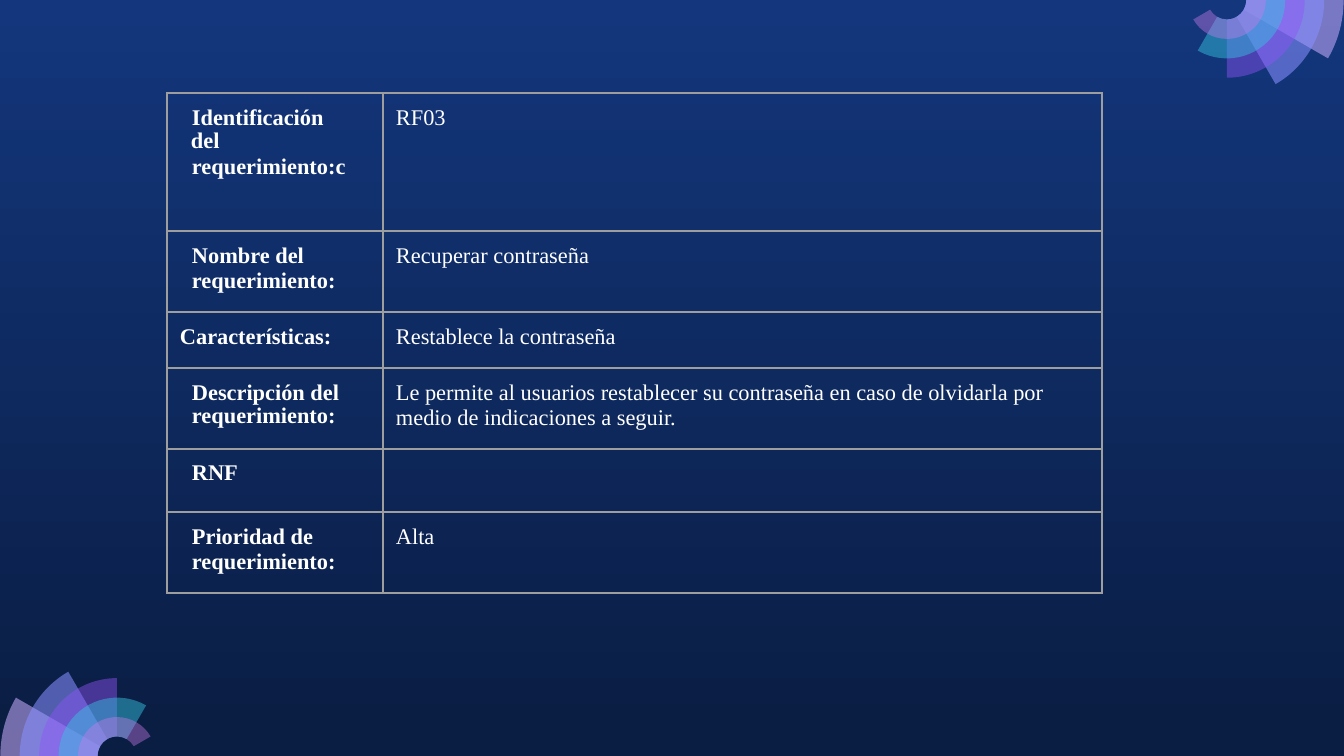
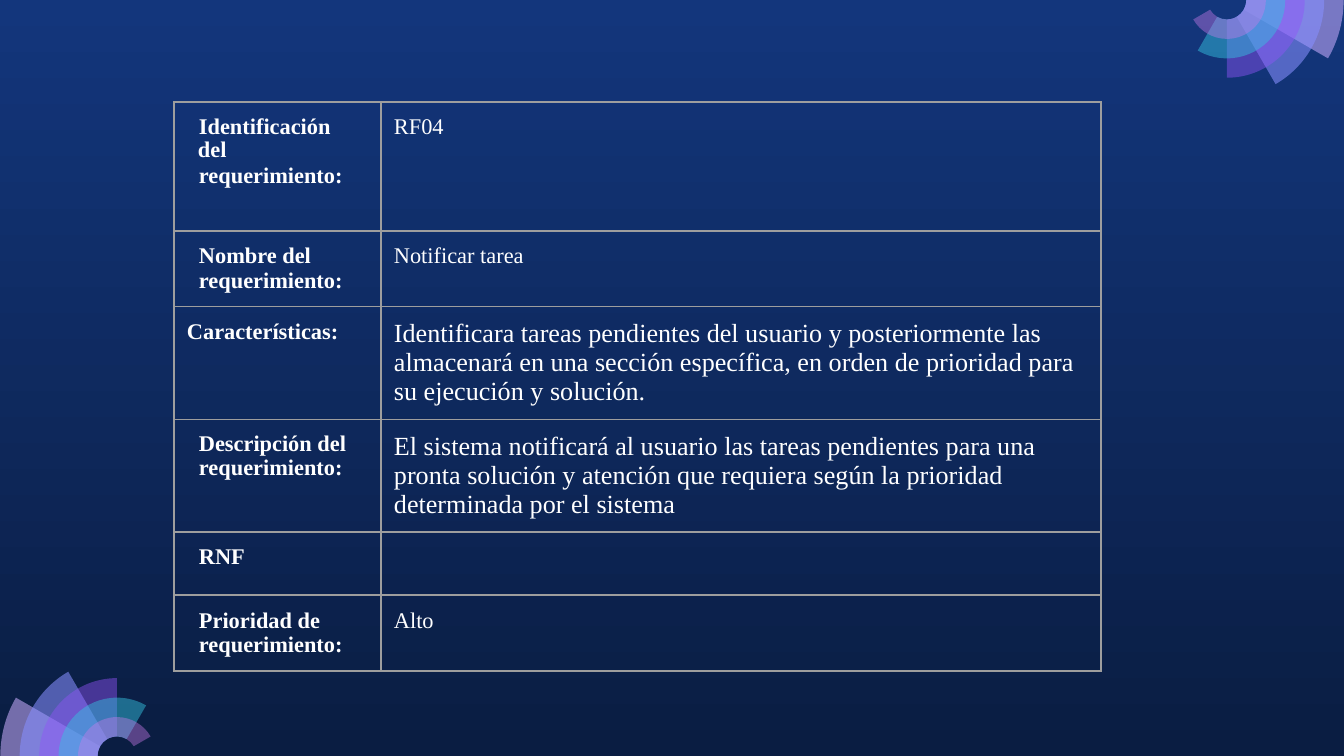
import math
from lxml import etree
from pptx import Presentation
from pptx import util as u
from pptx.dml.color import RGBColor
from pptx.oxml import ns

FONT = "Times New Roman"
WHITE, BORDER = "FFFFFF", "9E9E9E"
BACKGROUND = ("13367C", "0A1D42")
FAN_COLOURS = [("C8ACFD", 56), ("878FFF", 57), ("9154F8", 45), ("35C2DF", 48), ("CA7BEB", 41)]
FAN_CENTRES = [(117, 756, 1), (1227, 0, -1)]
RING, SWEEP = 19.45, 30
INSET, EMPTY_SIZE = 13, 18

HANGING = {"marL": 11, "indent": 1}
INDENTED = {"marL": 12, "indent": 0}
FLUSH = {}
TIGHT, AFTER_TIGHT = {"line_spacing": 0.96}, {"space_before": u.Pt(0.3)}

LABELS = [
    [("Identificación\vdel", HANGING, TIGHT), ("requerimiento:", INDENTED, AFTER_TIGHT)],
    [("Nombre del", INDENTED, {}), ("requerimiento:", INDENTED, {})],
    [("Características:", FLUSH, {})],
    [("Descripción del requerimiento:", INDENTED, TIGHT)],
    [("RNF", INDENTED, TIGHT)],
    [("Prioridad de", INDENTED, {}), ("requerimiento:", INDENTED, {})],
]

REQUIREMENTS = [
    {
        "corner": (167, 93), "columns": (216, 719), "rows": (138, 81, 56, 81, 56, 81),
        "label_tail": "c",
        "values": [
            ("RF03", 12),
            ("Recuperar contraseña", 12),
            ("Restablece la contraseña", 12),
            ("Le permite al usuarios restablecer su contraseña en caso de olvidarla "
             "por medio de indicaciones a seguir.", 12),
            None,
            ("Alta", 12),
        ],
    },
    {
        "corner": (174, 102), "columns": (207, 720), "rows": (129, 56, 56, 56, 56, 56),
        "label_tail": "",
        "values": [
            ("RF04", 12),
            ("Notificar tarea", 12),
            ("Identificara tareas pendientes del usuario y posteriormente las almacenará "
             "en una sección específica, en orden de prioridad para su ejecución y solución.", 14),
            ("El sistema notificará al usuario las tareas pendientes para una pronta solución "
             "y atención que requiera según la prioridad determinada por el sistema", 14),
            None,
            ("Alto", 12),
        ],
    },
]


def px(length):
    return u.Emu(round(length * 914400 / 134.4))


def colour(code):
    return RGBColor.from_string(code)


def assign(target, settings):
    for name, value in settings.items():
        setattr(target, name, value)


def paint_background(master):
    fill = master.background.fill
    fill.gradient()
    fill.gradient_angle = 270
    for stop, code in zip(fill.gradient_stops, BACKGROUND):
        stop.color.rgb = colour(code)


def draw_fan(slide, cx, cy, side):
    fan = slide.shapes.add_group_shape()

    def spot(radius, degrees, pull=0):
        a = math.radians(degrees)
        place = complex(cx, cy) - side * radius * complex(math.cos(a), math.sin(a)) * complex(1, pull)
        return px(place.real), px(place.imag)

    for i, (code, opacity) in enumerate(FAN_COLOURS, 1):
        end = SWEEP * i
        stops = [0, 90, end] if end > 90 else [0, end]
        corners = [(RING * (7 - i), a) for a in stops] + [(RING, a) for a in reversed(stops)]
        outline = [spot(*corner) for corner in corners]
        builder = fan.shapes.build_freeform(*outline[0], scale=1.0)
        builder.add_line_segments(outline[1:], close=True)
        sector = builder.convert_to_shape()
        bend_arcs(sector, corners, spot)
        sector.shadow.inherit = False
        sector.line.fill.background()
        sector.fill.solid()
        sector.fill.fore_color.rgb = colour(code)
        tint = sector.element.spPr.find(".//" + ns.qn("a:srgbClr"))
        etree.SubElement(tint, ns.qn("a:alpha"), val=str(opacity * 1000))
    return fan


def bend_arcs(sector, corners, spot):
    edges = sector.element.findall(".//" + ns.qn("a:lnTo"))
    left = min(spot(*corner)[0] for corner in corners)
    top = min(spot(*corner)[1] for corner in corners)
    for edge, (radius, start), (next_radius, end) in zip(edges, corners, corners[1:]):
        if radius != next_radius:
            continue
        pull = 4 / 3 * math.tan(math.radians(end - start) / 4)
        curve = etree.Element(ns.qn("a:cubicBezTo"))
        for x, y in (spot(radius, start, pull), spot(radius, end, -pull), spot(radius, end)):
            etree.SubElement(curve, ns.qn("a:pt"), x=str(x - left), y=str(y - top))
        edge.getparent().replace(edge, curve)


def format_cell(cell):
    assign(cell, dict.fromkeys(("margin_left", "margin_right", "margin_top", "margin_bottom"), px(INSET)))
    properties = cell._tc.get_or_add_tcPr()
    for side in "LRTB":
        border = etree.SubElement(properties, ns.qn("a:ln" + side), w=str(u.Pt(1)))
        paint = etree.SubElement(border, ns.qn("a:solidFill"))
        etree.SubElement(paint, ns.qn("a:srgbClr"), val=BORDER)
    cell.fill.background()


def write(cell, lines, size, bold):
    frame = cell.text_frame
    for i, (words, indents, spacing) in enumerate(lines):
        paragraph = frame.add_paragraph() if i else frame.paragraphs[0]
        assign(paragraph, spacing)
        for name, length in indents.items():
            paragraph._p.get_or_add_pPr().set(name, str(px(length)))
        paragraph.text = words
        for run in paragraph.runs:
            assign(run.font, {"name": FONT, "size": u.Pt(size), "bold": bold})
            run.font.color.rgb = colour(WHITE)


def leave_empty(cell):
    ending = etree.SubElement(cell.text_frame.paragraphs[0]._p, ns.qn("a:endParaRPr"),
                              sz=str(EMPTY_SIZE * 100))
    etree.SubElement(ending, ns.qn("a:latin"), typeface=FONT)


def add_requirement(slide, requirement):
    columns, rows = requirement["columns"], requirement["rows"]
    box = [px(v) for v in (*requirement["corner"], sum(columns), sum(rows))]
    table = slide.shapes.add_table(len(rows), len(columns), *box).table
    assign(table, {"first_row": False, "horz_banding": False})
    for column, width in zip(table.columns, columns):
        column.width = px(width)
    for row, height in zip(table.rows, rows):
        row.height = px(height)
    for cell in table.iter_cells():
        format_cell(cell)
    for i, (label, value) in enumerate(zip(LABELS, requirement["values"])):
        if i == 0:
            words, indents, spacing = label[-1]
            label = label[:-1] + [(words + requirement["label_tail"], indents, spacing)]
        write(table.cell(i, 0), label, 12, True)
        if value:
            words, size = value
            write(table.cell(i, 1), [(words, FLUSH, {})], size, False)
        else:
            leave_empty(table.cell(i, 1))


def main():
    deck = Presentation()
    assign(deck, {"slide_width": px(1344), "slide_height": px(756)})
    paint_background(deck.slide_master)
    layout = deck.slide_layouts[6]
    for placeholder in list(layout.placeholders):
        layout.shapes.element.remove(placeholder.element)
    slides = [deck.slides.add_slide(layout) for _ in REQUIREMENTS]
    fans = [draw_fan(slides[0], *centre) for centre in FAN_CENTRES]
    for fan in fans:
        layout.shapes.element.append(fan.element)
    for slide, requirement in zip(slides, REQUIREMENTS):
        add_requirement(slide, requirement)
    deck.save("out.pptx")


if __name__ == "__main__":
    main()
